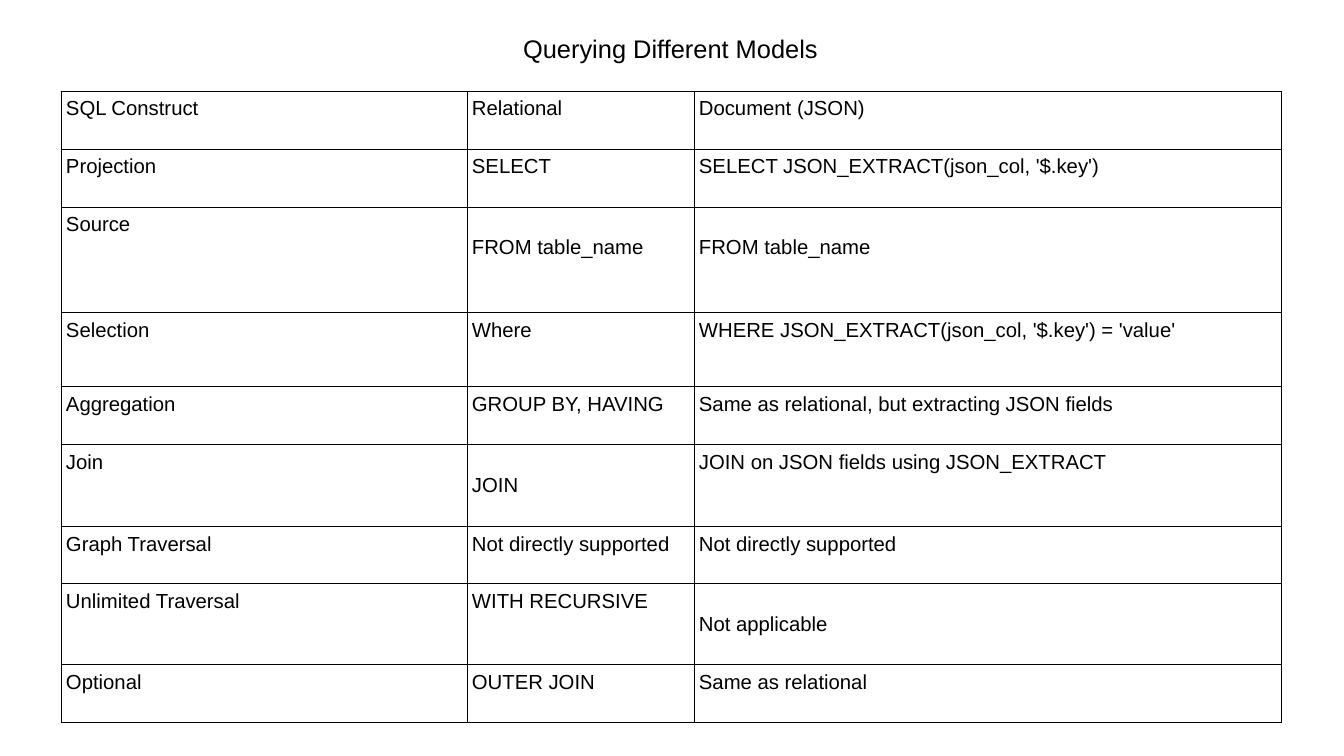
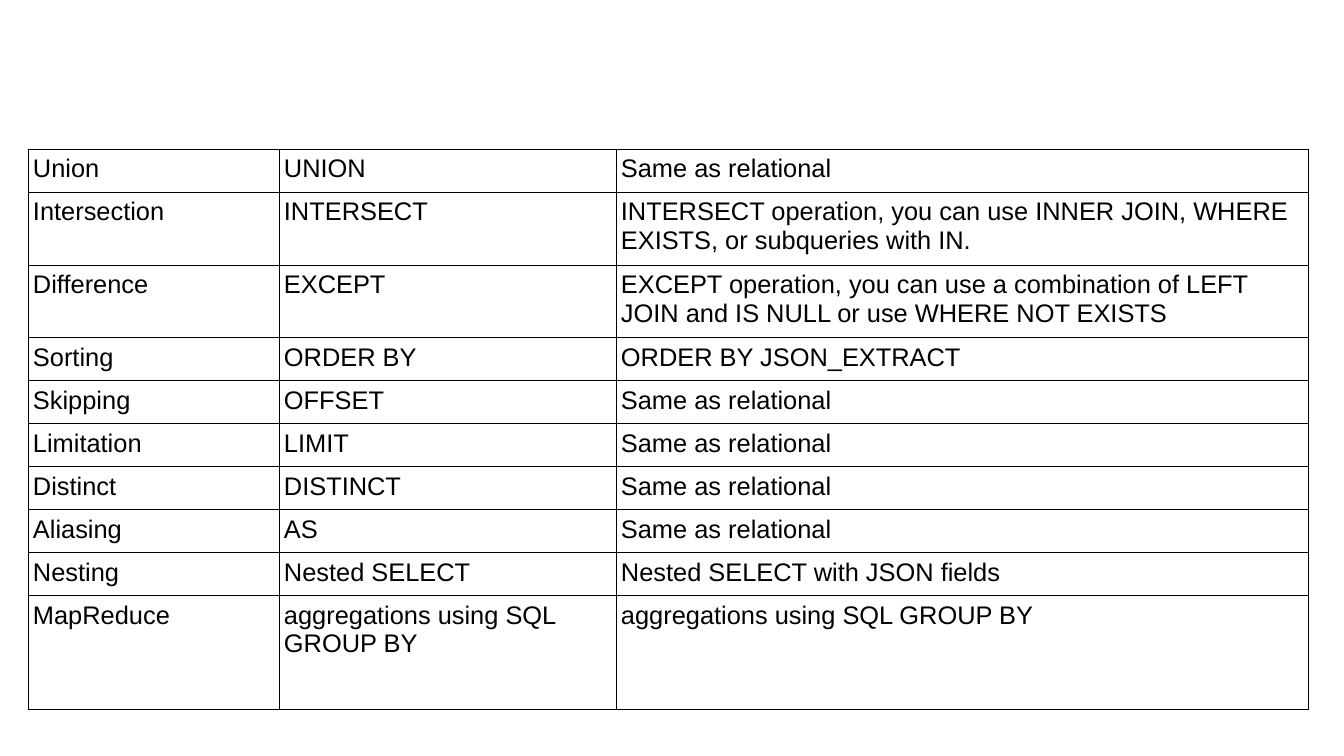
"""Builds two slides that compare SQL constructs in relational and JSON models."""
from lxml.etree import SubElement
from pptx import Presentation
from pptx.dml.color import RGBColor
from pptx.enum.text import MSO_ANCHOR, PP_ALIGN
from pptx.oxml.ns import qn
from pptx.util import Pt

SCALE = 914400 / 122
BLACK = RGBColor(0, 0, 0)
FONT = "Arial"
BORDER = Pt(0.57)
INSET_X, INSET_Y = 5, 6
LINE_DROP = 23


def px(pixels):
    return round(pixels * SCALE)


class Slides:
    def __init__(self, width, height):
        self.deck = Presentation()
        self.deck.slide_width, self.deck.slide_height = px(width), px(height)
        self.page = None

    def new_page(self):
        self.page = self.deck.slides.add_slide(self.deck.slide_layouts[6])

    def set_text(self, frame, text, size, align=PP_ALIGN.LEFT):
        frame.word_wrap = True
        paragraph = frame.paragraphs[0]
        paragraph.text = text
        paragraph.alignment = align
        paragraph.font.name = FONT
        paragraph.font.size = Pt(size)
        paragraph.font.color.rgb = BLACK

    def title(self, text, left, top, width, height):
        box = self.page.shapes.add_textbox(px(left), px(top), px(width), px(height))
        self.set_text(box.text_frame, text, 15, PP_ALIGN.CENTER)

    def border(self, cell):
        properties = cell._tc.get_or_add_tcPr()
        for index, side in enumerate(("lnL", "lnR", "lnT", "lnB")):
            line = SubElement(properties, qn(f"a:{side}"), w=str(BORDER))
            fill = SubElement(line, qn("a:solidFill"))
            SubElement(fill, qn("a:srgbClr"), val=str(BLACK))
            properties.insert(index, line)

    def table(self, left, top, widths, heights, rows, size, lowered=()):
        frame = self.page.shapes.add_table(
            len(rows), len(widths), px(left), px(top), px(sum(widths)), px(sum(heights)))
        table = frame.table
        table.first_row = table.horz_banding = False
        for column, width in zip(table.columns, widths):
            column.width = px(width)
        for row, height in zip(table.rows, heights):
            row.height = px(height)
        for row_index, texts in enumerate(rows):
            for column_index, text in enumerate(texts):
                cell = table.cell(row_index, column_index)
                drop = LINE_DROP if (row_index, column_index) in lowered else 0
                cell.margin_left = cell.margin_right = px(INSET_X)
                cell.margin_top, cell.margin_bottom = px(INSET_Y + drop), px(INSET_Y)
                cell.vertical_anchor = MSO_ANCHOR.TOP
                cell.fill.background()
                self.border(cell)
                self.set_text(cell.text_frame, text, size)


SAME = "Same as relational"
UNSUPPORTED = "Not directly supported"
QUERY_ROWS = [
    ("SQL Construct", "Relational", "Document (JSON)"),
    ("Projection", "SELECT", "SELECT JSON_EXTRACT(json_col, '$.key')"),
    ("Source", "FROM table_name", "FROM table_name"),
    ("Selection", "Where", "WHERE JSON_EXTRACT(json_col, '$.key') = 'value'"),
    ("Aggregation", "GROUP BY, HAVING", "Same as relational, but extracting JSON fields"),
    ("Join", "JOIN", "JOIN on JSON fields using JSON_EXTRACT"),
    ("Graph Traversal", UNSUPPORTED, UNSUPPORTED),
    ("Unlimited Traversal", "WITH RECURSIVE", "Not applicable"),
    ("Optional", "OUTER JOIN", SAME),
]
OPERATION_ROWS = [
    ("Union", "UNION", SAME),
    ("Intersection", "INTERSECT",
     "INTERSECT operation, you can use INNER JOIN, WHERE EXISTS, or subqueries with IN."),
    ("Difference", "EXCEPT",
     "EXCEPT operation, you can use a combination of LEFT JOIN and IS NULL "
     "or use WHERE NOT EXISTS"),
    ("Sorting", "ORDER BY", "ORDER BY JSON_EXTRACT"),
    ("Skipping", "OFFSET", SAME),
    ("Limitation", "LIMIT", SAME),
    ("Distinct", "DISTINCT", SAME),
    ("Aliasing", "AS", SAME),
    ("Nesting", "Nested SELECT", "Nested SELECT with JSON fields"),
    ("MapReduce", "aggregations using SQL GROUP BY", "aggregations using SQL GROUP BY"),
]

slides = Slides(1344, 756)

slides.new_page()
slides.table(61, 91, (406, 227, 587), (58, 58, 106, 74, 58, 82, 57, 81, 58),
             QUERY_ROWS, 12, lowered={(2, 1), (2, 2), (5, 1), (7, 2)})
slides.title("Querying Different Models", 152, 27, 1037, 79)

slides.new_page()
slides.table(28, 149, (251, 337, 692), (43, 68, 69, *[43] * 6, 114), OPERATION_ROWS, 15)

slides.deck.save("out.pptx")
